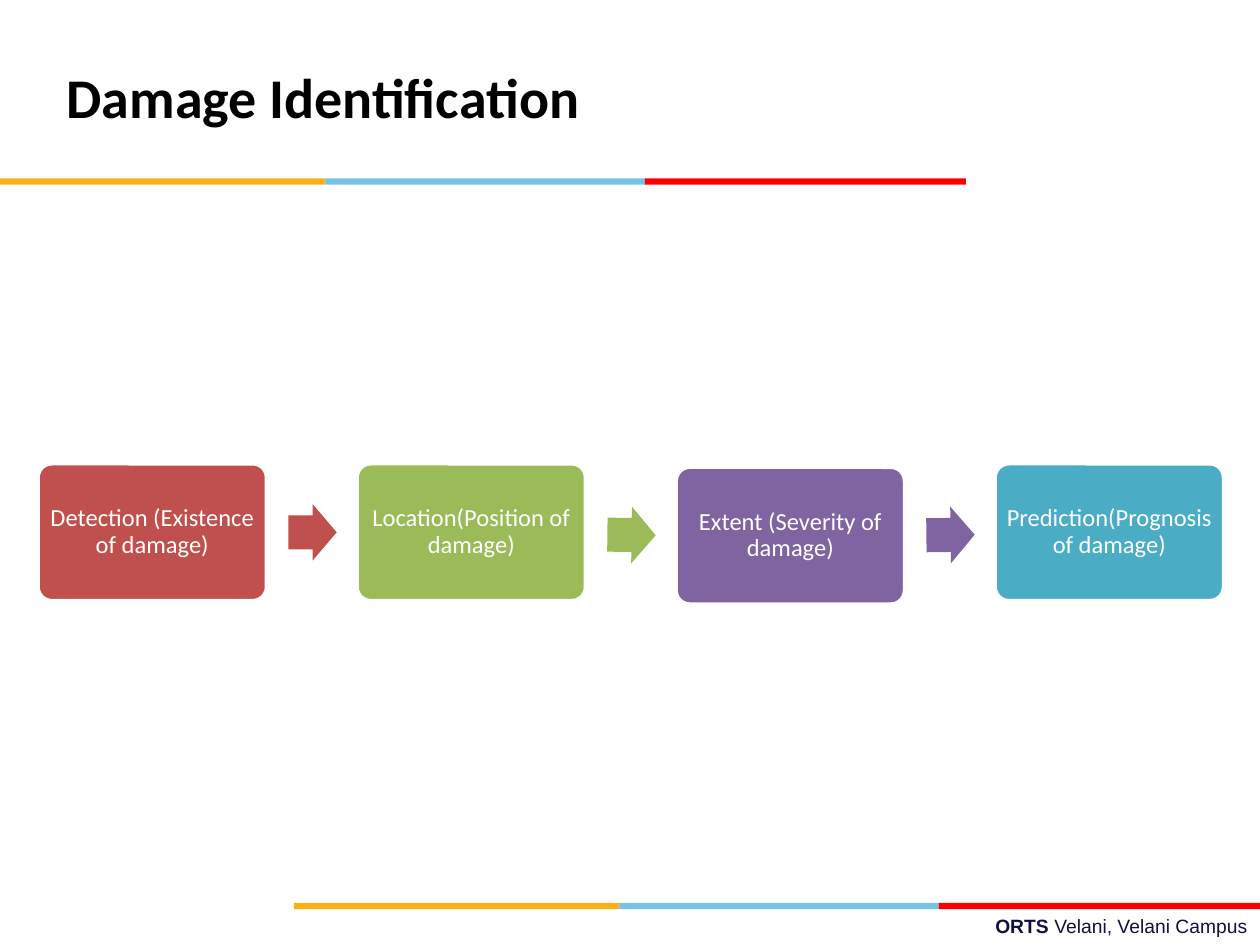
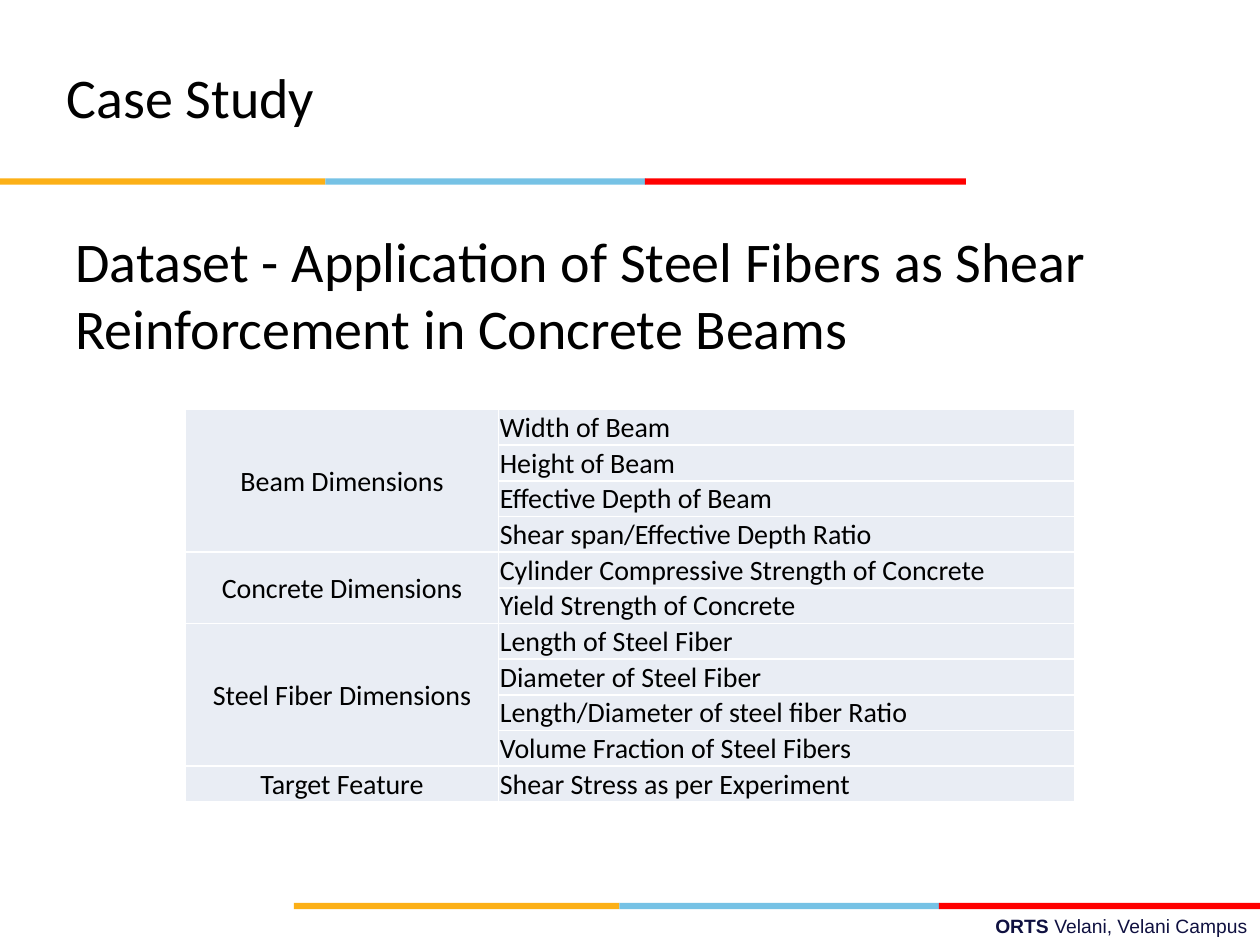
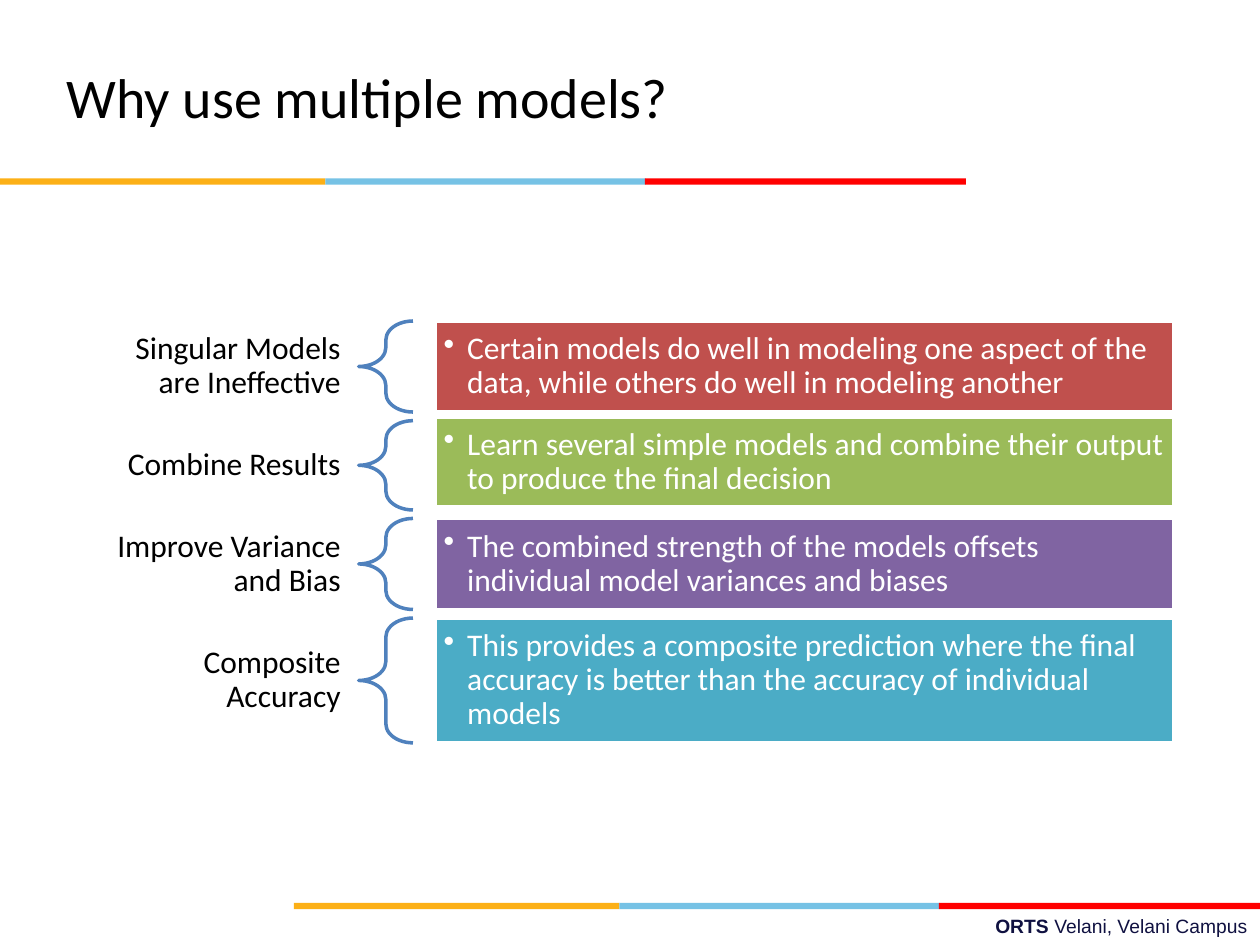
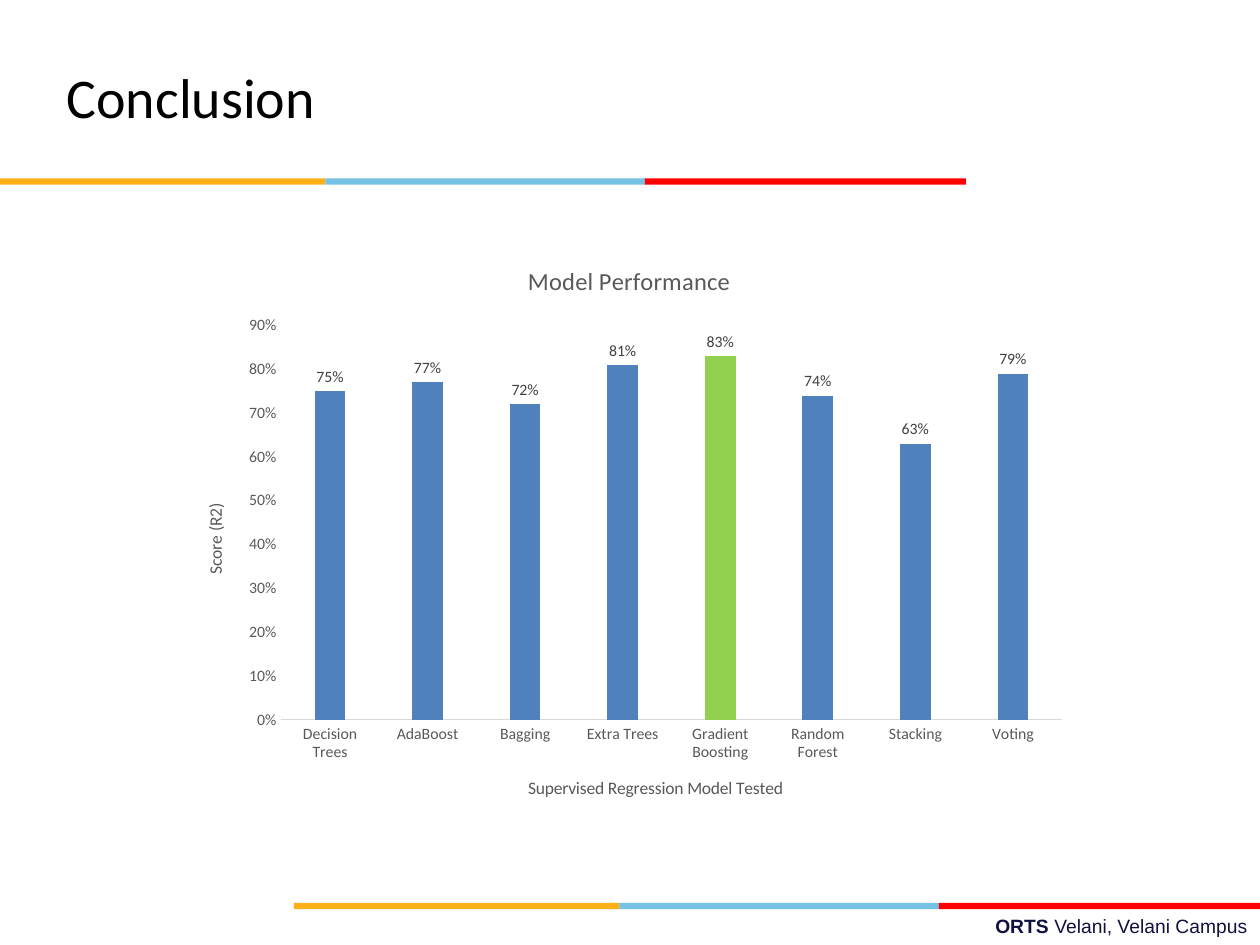
from lxml import etree
from pptx import Presentation
from pptx.chart.data import CategoryChartData
from pptx.dml.color import RGBColor
from pptx.enum.chart import XL_CHART_TYPE as ChartType
from pptx.enum.chart import XL_LABEL_POSITION as LabelPos
from pptx.enum.chart import XL_TICK_MARK as Tick
from pptx.enum.shapes import MSO_SHAPE as Preset
from pptx.enum.text import MSO_ANCHOR as Anchor
from pptx.enum.text import PP_ALIGN as Align
from pptx.oxml import parse_xml
from pptx.oxml.ns import nsdecls, qn
from pptx.util import Pt

COLORS = {
    "amber": "FCB017", "sky": "76C2E5", "scarlet": "FF0000", "navy": "101141",
    "black": "000000", "white": "FFFFFF", "brick": "C0504D", "olive": "9BBB59",
    "violet": "8064A2", "teal": "4BACC6", "blue": "4F81BD", "lime": "92D050",
    "pale": "E9EDF4", "gray": "595959", "dark": "404040", "rule": "D9D9D9",
}
RGB = {name: RGBColor.from_string(value) for name, value in COLORS.items()}
ACCENTS = ["brick", "olive", "violet", "teal"]


def add_block(slide, preset, left, top, width, height, fill=None, line=None):
    block = slide.shapes.add_shape(preset, Pt(left), Pt(top), Pt(width), Pt(height))
    block.shadow.inherit = False
    if fill:
        block.fill.solid()
        block.fill.fore_color.rgb = RGB[fill]
    else:
        block.fill.background()
    if line:
        block.line.color.rgb = RGB[line]
        block.line.width = Pt(2)
    else:
        block.line.fill.background()
    return block


def write(frame, runs, size, color="black", align=Align.LEFT, anchor=Anchor.MIDDLE,
          inset=(7.2, 3.6), spacing=None, font="Calibri"):
    frame.word_wrap = True
    frame.vertical_anchor = anchor
    frame.margin_left = frame.margin_right = Pt(inset[0])
    frame.margin_top = frame.margin_bottom = Pt(inset[1])
    paragraph = frame.paragraphs[0]
    paragraph.alignment = align
    paragraph.line_spacing = spacing
    for text, bold in runs:
        run = paragraph.add_run()
        run.text = text
        run.font.name = font
        run.font.size = Pt(size)
        run.font.bold = bold
        run.font.color.rgb = RGB[color]
    return paragraph


deck = Presentation()
deck.slide_width, deck.slide_height = Pt(720), Pt(540)

headings = [("Damage Identification", True), ("Case Study", False),
            ("Why use multiple models?", False), ("Conclusion", False)]
slides = []
for heading in headings:
    slide = deck.slides.add_slide(deck.slide_layouts[6])
    slides.append(slide)
    footer = slide.shapes.add_textbox(Pt(258), Pt(519), Pt(462), Pt(21))
    write(footer.text_frame, [("ORTS ", True), ("Velani, Velani Campus", False)], 11,
          "navy", Align.RIGHT, Anchor.TOP, font="Arial")
    for band_left, band_top in [(168, 516), (0, 102)]:
        for color, offset, width in [("amber", 0, 186), ("sky", 186, 183), ("scarlet", 368.5, 183.5)]:
            add_block(slide, Preset.RECTANGLE, band_left + offset, band_top, width, 3.6, color)
    title = slide.shapes.add_textbox(Pt(31), Pt(21.6), Pt(482), Pt(67))
    write(title.text_frame, [heading], 32)

identification, case_study, reasons, conclusion = slides

stages = [
    ("Detection (Existence of damage)", 265, 288, 0),
    ("Location(Position of damage)", 265, 289.5, 0.7),
    ("Extent (Severity of damage)", 267, 289.5, 359.3),
    ("Prediction(Prognosis of damage)", 265, None, 0),
]
for index, (stage, top, arrow_top, turn) in enumerate(stages):
    left = 21.8 + 182.3 * index
    box = add_block(identification, Preset.ROUNDED_RECTANGLE, left, top, 130.5, 78.2,
                    ACCENTS[index], "white")
    box.adjustments[0] = 0.1
    write(box.text_frame, [(stage, False)], 14, "white", Align.CENTER,
          inset=(4, 4), spacing=0.9)
    if arrow_top:
        arrow = add_block(identification, Preset.RIGHT_ARROW, left + 143, arrow_top,
                          27.6, 32.4, ACCENTS[index])
        arrow.adjustments[0], arrow.adjustments[1] = 0.6, 0.5
        arrow.rotation = turn

dataset = case_study.shapes.add_textbox(Pt(36), Pt(126), Pt(648), Pt(356))
write(dataset.text_frame,
      [("Dataset - Application of Steel Fibers as Shear Reinforcement in Concrete Beams", False)],
      32, anchor=Anchor.TOP)

feature_groups = {
    "Beam Dimensions": ["Width of Beam", "Height of Beam", "Effective Depth of Beam",
                        "Shear span/Effective Depth Ratio"],
    "Concrete Dimensions": ["Cylinder Compressive Strength of Concrete",
                            "Yield Strength of Concrete"],
    "Steel Fiber Dimensions": ["Length of Steel Fiber", "Diameter of Steel Fiber",
                               "Length/Diameter of steel fiber Ratio",
                               "Volume Fraction of Steel Fibers"],
    "Target Feature": ["Shear Stress as per Experiment"],
}
row_count = sum(len(features) for features in feature_groups.values())
features_table = case_study.shapes.add_table(
    row_count, 2, Pt(106), Pt(234), Pt(508), Pt(20.4 * row_count)).table
features_table.first_row = features_table.horz_banding = False
features_table.columns[0].width, features_table.columns[1].width = Pt(179), Pt(329)
for row in features_table.rows:
    row.height = Pt(20.4)
    for cell in row.cells:
        cell_props = cell._tc.get_or_add_tcPr()
        for side in ["lnL", "lnR", "lnT", "lnB"]:
            cell_props.append(parse_xml(
                f'<a:{side} {nsdecls("a")} w="{Pt(1)}"><a:solidFill>'
                f'<a:srgbClr val="{COLORS["white"]}"/></a:solidFill></a:{side}>'))
        cell.fill.solid()
        cell.fill.fore_color.rgb = RGB["pale"]
        cell.margin_left = cell.margin_right = cell.margin_top = Pt(0.7)
        cell.margin_bottom = 0

first = 0
for group, features in feature_groups.items():
    group_cell = features_table.cell(first, 0)
    if len(features) > 1:
        group_cell.merge(features_table.cell(first + len(features) - 1, 0))
    entries = [(group_cell, group, Align.CENTER, Anchor.MIDDLE)]
    for offset, feature in enumerate(features):
        entries.append((features_table.cell(first + offset, 1), feature, Align.LEFT, Anchor.BOTTOM))
    for cell, text, align, anchor in entries:
        cell.vertical_anchor = anchor
        paragraph = cell.text_frame.paragraphs[0]
        paragraph.alignment = align
        run = paragraph.add_run()
        run.text = text
        run.font.name, run.font.size = "Calibri", Pt(16)
        run.font.color.rgb = RGB["black"]
    first += len(features)

arguments = [
    ("Singular Models are Ineffective", 47.5, 52, 0,
     "Certain models do well in modeling one aspect of the data, while others do well in modeling another"),
    ("Combine Results", 28, 51, -2,
     "Learn several simple models and combine their output to produce the final decision"),
    ("Improve Variance and Bias", 47.5, 52, 0,
     "The combined strength of the models offsets individual model variances and biases"),
    ("Composite Accuracy", 47.5, 71.3, 0,
     "This provides a composite prediction where the final accuracy is better than the accuracy of individual models"),
]
top = 183.5
for color, (reason, label_height, height, shift, detail) in zip(ACCENTS, arguments):
    label = reasons.shapes.add_textbox(Pt(49.7), Pt(top + (height - label_height) / 2),
                                       Pt(155), Pt(label_height))
    write(label.text_frame, [(reason, False)], 18, align=Align.RIGHT,
          inset=(10, 3.6), spacing=0.9)
    brace = add_block(reasons, Preset.LEFT_BRACE, 205, top, 31, height, line="blue")
    brace.adjustments[0], brace.adjustments[1] = 0.35, 0.5
    panel = add_block(reasons, Preset.RECTANGLE, 248.5, top + shift, 422, height, color, "white")
    bullet_line = write(panel.text_frame, [(detail, False)], 18, "white",
                        inset=(5, 5), spacing=0.9)
    bullet_props = bullet_line._p.get_or_add_pPr()
    bullet_props.set("marL", str(Pt(13.5)))
    bullet_props.set("indent", str(-Pt(13.5)))
    etree.SubElement(bullet_props, qn("a:buChar")).set("char", "•")
    top += height + 4.9

scores = CategoryChartData(number_format="0%")
scores.categories = ["Decision Trees", "AdaBoost", "Bagging", "Extra Trees",
                     "Gradient Boosting", "Random Forest", "Stacking", "Voting"]
scores.add_series("Series 1", [0.75, 0.77, 0.72, 0.81, 0.83, 0.74, 0.63, 0.79])
performance = conclusion.shapes.add_chart(
    ChartType.COLUMN_CLUSTERED, Pt(102), Pt(138), Pt(515), Pt(333), scores).chart
performance.has_legend = False
performance.has_title = True
performance.font.name, performance.font.size = "Calibri", Pt(10)
models, score = performance.category_axis, performance.value_axis
for titled, text, size in [(performance, "Model Performance", 14),
                           (models, "Supervised Regression Model Tested", 10),
                           (score, "Score (R2)", 10)]:
    titled.has_title = True
    caption = titled.chart_title if titled is performance else titled.axis_title
    run = caption.text_frame.paragraphs[0].add_run()
    run.text = text
    run.font.name, run.font.size, run.font.bold = "Calibri", Pt(size), False
    run.font.color.rgb = RGB["gray"]
for axis in [models, score]:
    axis.has_major_gridlines = False
    axis.major_tick_mark = axis.minor_tick_mark = Tick.NONE
    axis.tick_labels.font.name = "Calibri"
    axis.tick_labels.font.size = Pt(9)
    axis.tick_labels.font.color.rgb = RGB["gray"]
models.format.line.color.rgb = RGB["rule"]
models.format.line.width = Pt(0.75)
score.format.line.fill.background()
score.minimum_scale, score.maximum_scale, score.major_unit = 0, 0.9, 0.1
score.tick_labels.number_format = "0%"
score.tick_labels.number_format_is_linked = False

columns = performance.plots[0]
columns.vary_by_categories = False
columns.gap_width, columns.overlap = 219, -27
series = columns.series[0]
best = series.points[4]
for part, color in [(series, "blue"), (best, "lime")]:
    part.format.fill.solid()
    part.format.fill.fore_color.rgb = RGB[color]
labels = series.data_labels
labels.show_value = True
labels.position = LabelPos.OUTSIDE_END
labels.number_format, labels.number_format_is_linked = "0%", False
labels.font.name, labels.font.size = "Calibri", Pt(9)
labels.font.color.rgb = RGB["dark"]

deck.save("out.pptx")
